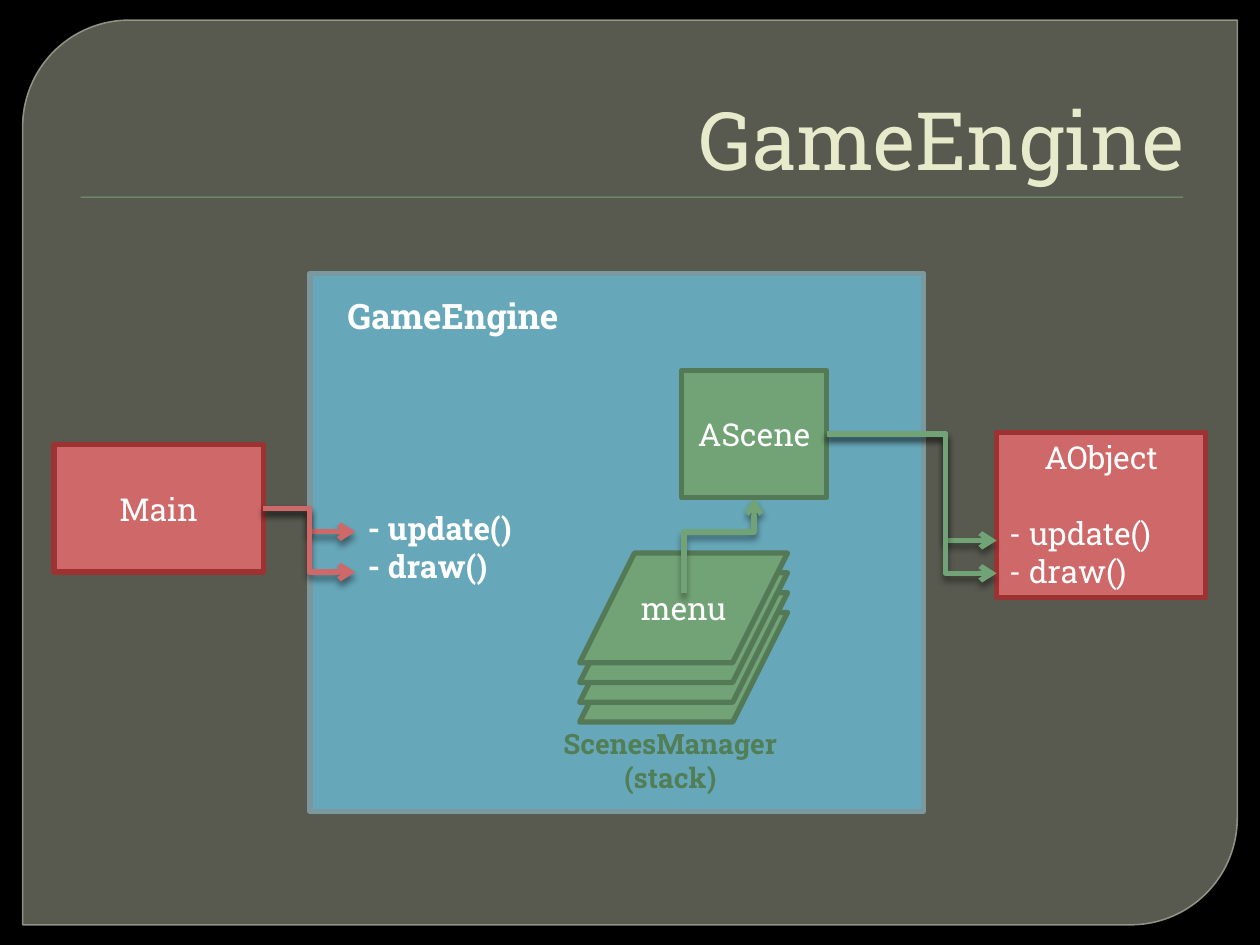
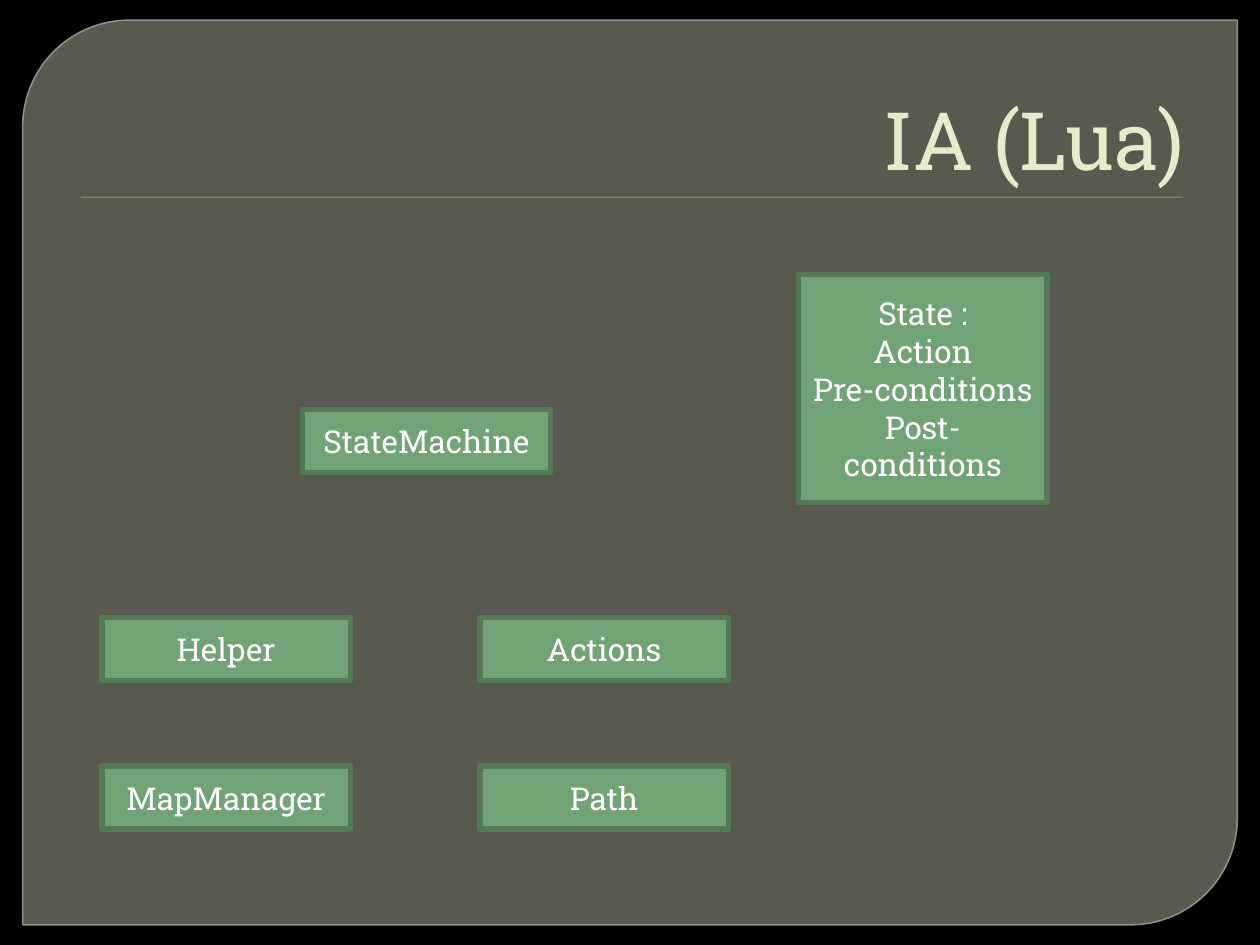
from dataclasses import dataclass
from typing import NamedTuple

from lxml.etree import SubElement
from pptx import Presentation
from pptx.dml.color import RGBColor
from pptx.enum.shapes import MSO_CONNECTOR as Connector, MSO_SHAPE as Preset
from pptx.enum.text import MSO_ANCHOR as Anchor, PP_ALIGN as Align
from pptx.oxml.ns import qn
from pptx.util import Inches, Pt

# The slide is a grid of 100 columns by 75 rows; all lengths are in grid cells.
COLUMNS, ROWS = 100, 75
CELL = Inches(0.1)


@dataclass(frozen=True)
class Theme:
    font: str = "Roboto Slab"
    backdrop: str = "000000"
    panel: str = "888B7B"
    panel_edge: str = "9DA090"
    title: str = "E7EACB"
    text: str = "FFFFFF"
    caption: str = "527E56"
    green: str = "72A376"
    green_edge: str = "547957"
    red: str = "CF6868"
    red_edge: str = "9D3232"
    blue: str = "66A7B9"
    blue_edge: str = "7C989F"
    title_size: float = 46
    heading_size: float = 20
    body_size: float = 18
    caption_size: float = 16
    stroke: float = 3


THEME = Theme()
GREEN = (THEME.green, THEME.green_edge)
RED = (THEME.red, THEME.red_edge)
BLUE = (THEME.blue, THEME.blue_edge)


class Box(NamedTuple):
    left: float
    top: float
    width: float
    height: float

    @property
    def right_middle(self):
        return self.left + self.width, self.top + self.height / 2

    @property
    def bottom_middle(self):
        return self.left + self.width / 2, self.top + self.height

    def emu(self):
        return [cells(value) for value in self]


def cells(count):
    return round(count * CELL)


def rgb(value):
    return RGBColor.from_string(value)


# --- XML details ---
def set_alpha(color_parent, percent):
    color = next(color_parent.iter(qn("a:srgbClr")))
    SubElement(color, qn("a:alpha"), val=str(percent * 1000))


def set_shadow(properties, percent, blur, distance):
    """Drop a black shadow straight down; blur and distance are in points."""
    for old in properties.findall(qn("a:effectLst")):
        properties.remove(old)
    effects = SubElement(properties, qn("a:effectLst"))
    shadow = SubElement(effects, qn("a:outerShdw"), blurRad=str(Pt(blur)),
                        dist=str(Pt(distance)), dir="5400000", algn="t",
                        rotWithShape="0")
    SubElement(shadow, qn("a:srgbClr"), val="000000")
    set_alpha(shadow, percent)


# --- Kinds of element ---
def write(shape, lines, size=THEME.body_size, color=THEME.text, bold=False,
          align=Align.CENTER, anchor=Anchor.MIDDLE, wrap=True):
    frame = shape.text_frame
    frame.text = "\n".join(lines)
    frame.word_wrap = wrap
    frame.vertical_anchor = anchor
    for paragraph in frame.paragraphs:
        paragraph.alignment = align
        for run in paragraph.runs:
            run.font.name = THEME.font
            run.font.size = Pt(size)
            run.font.bold = bold
            run.font.color.rgb = rgb(color)
    return frame


def add_block(slide, box, colors, lines=(), preset=Preset.RECTANGLE,
              stroke=THEME.stroke, **style):
    block = slide.shapes.add_shape(preset, *box.emu())
    block.shadow.inherit = False
    fill, edge = colors
    block.fill.solid()
    block.fill.fore_color.rgb = rgb(fill)
    if edge:
        block.line.color.rgb = rgb(edge)
        block.line.width = Pt(stroke)
    else:
        block.line.fill.background()
    if lines:
        write(block, lines, **style)
    return block


def add_label(slide, box, lines, **style):
    return write(slide.shapes.add_textbox(*box.emu()), lines, **style)


def add_elbow(slide, start, end, color, bend=0.5, upright=False):
    """Draw an elbow arrow; an upright one leaves and arrives vertically."""
    if upright:
        middle_x, middle_y = ((a + b) / 2 for a, b in zip(start, end))
        start, end = ((middle_x + y - middle_y, middle_y - x + middle_x)
                      for x, y in (start, end))
    elbow = slide.shapes.add_connector(
        Connector.ELBOW, *map(cells, start), *map(cells, end))
    if upright:
        elbow.rotation = 90
    elbow.line.color.rgb = rgb(color)
    elbow.line.width = Pt(THEME.stroke)
    properties = elbow._element.spPr
    SubElement(properties.find(qn("a:ln")), qn("a:tailEnd"), type="arrow")
    guides = next(properties.iter(qn("a:avLst")))
    SubElement(guides, qn("a:gd"), name="adj1",
               fmla=f"val {round(bend * 100000)}")
    set_shadow(properties, 43, 4, 3)


def add_frame(slide):
    """Black backdrop, rounded panel and title rule."""
    slide.background.fill.solid()
    slide.background.fill.fore_color.rgb = rgb(THEME.backdrop)
    panel = add_block(slide, Box(1.8, 1.6, 96.4, 71.8),
                      (THEME.panel, THEME.panel_edge),
                      preset=Preset.ROUND_2_DIAG_RECTANGLE, stroke=0.87)
    panel.adjustments[0], panel.adjustments[1] = 0.118, 0
    set_alpha(panel._element.spPr.find(qn("a:solidFill")), 65)
    set_alpha(panel._element.spPr.find(qn("a:ln")), 88)
    rule = add_block(slide, Box(6.4, 15.6, 87.5, 0.1), (THEME.green, None))
    set_shadow(rule._element.spPr, 75, 1, 1)


def add_title(slide, title):
    add_label(slide, Box(5, 2.8, 90, 12.5), [title], size=THEME.title_size,
              color=THEME.title, align=Align.RIGHT, anchor=Anchor.BOTTOM)


def new_slide(deck):
    slide = deck.slides.add_slide(deck.slide_layouts[6])
    add_frame(slide)
    return slide


# --- Slides ---
def build_engine(deck):
    slide = new_slide(deck)
    methods = ["- update()", "- draw()"]
    add_block(slide, Box(24.6, 21.7, 48.7, 42.7), BLUE)
    add_title(slide, "GameEngine")

    # Stack of scenes, the menu on top
    menu = Box(46, 43.9, 16.5, 8.7)
    layer_step = 1.57
    for depth in (3, 2, 1, 0):
        layer = menu._replace(top=menu.top + depth * layer_step)
        card = add_block(slide, layer, GREEN, [] if depth else ["menu"],
                         preset=Preset.PARALLELOGRAM)
        card.adjustments[0] = 0.5
    add_label(slide, Box(43.4, 57.2, 19.6, 6.4), ["ScenesManager", "(stack)"],
              size=THEME.caption_size, color=THEME.caption, bold=True,
              anchor=Anchor.TOP, wrap=False)

    # Current scene and the objects that it drives
    scene = Box(54.1, 29.4, 11.5, 10.1)
    game_object = Box(79.1, 34.3, 16.6, 13.1)
    add_elbow(slide, (54.3, 47.1), scene.bottom_middle, THEME.green,
              bend=0.64, upright=True)
    members = add_block(slide, game_object, RED).text_frame
    write(members._parent, ["AObject", *methods], anchor=Anchor.TOP)
    for member in members.paragraphs[1:]:
        member.alignment = Align.LEFT
    members.paragraphs[1].space_before = Pt(21.5)
    add_block(slide, scene, GREEN, ["AScene"], wrap=False)
    for row in (42.9, 45.5):
        add_elbow(slide, scene.right_middle, (game_object.left, row),
                  THEME.green, bend=0.7)

    # Main loop and the engine methods that it calls
    main_loop = Box(4.3, 35.3, 16.6, 10.1)
    engine_methods = Box(28.2, 33.8, 18.5, 13.1)
    add_block(slide, main_loop, RED, ["Main"])
    add_label(slide, engine_methods, methods, bold=True, align=Align.LEFT,
              anchor=Anchor.BOTTOM)
    for row in (42.2, 45.4):
        add_elbow(slide, main_loop.right_middle, (engine_methods.left, row),
                  THEME.red)
    add_label(slide, Box(26.6, 22.9, 20.1, 4.4), ["GameEngine"],
              size=THEME.heading_size, bold=True, align=Align.LEFT,
              anchor=Anchor.TOP, wrap=False)


def build_ai(deck):
    slide = new_slide(deck)
    add_title(slide, "IA (Lua)")
    width, height = 19.7, 5
    add_block(slide, Box(24, 32.5, width, height), GREEN, ["StateMachine"])

    # Modules, two by two
    modules = [["Helper", "Actions"], ["MapManager", "Path"]]
    for row, names in enumerate(modules):
        for column, name in enumerate(names):
            add_block(slide, Box(8.1 + 30 * column, 49 + 11.8 * row,
                                 width, height), GREEN, [name])

    add_block(slide, Box(63.4, 21.8, width, 18.1), GREEN,
              ["State :", "Action", "Pre-conditions", "Post-conditions"])


def main():
    deck = Presentation()
    deck.slide_width, deck.slide_height = cells(COLUMNS), cells(ROWS)
    build_engine(deck)
    build_ai(deck)
    deck.save("out.pptx")


main()
